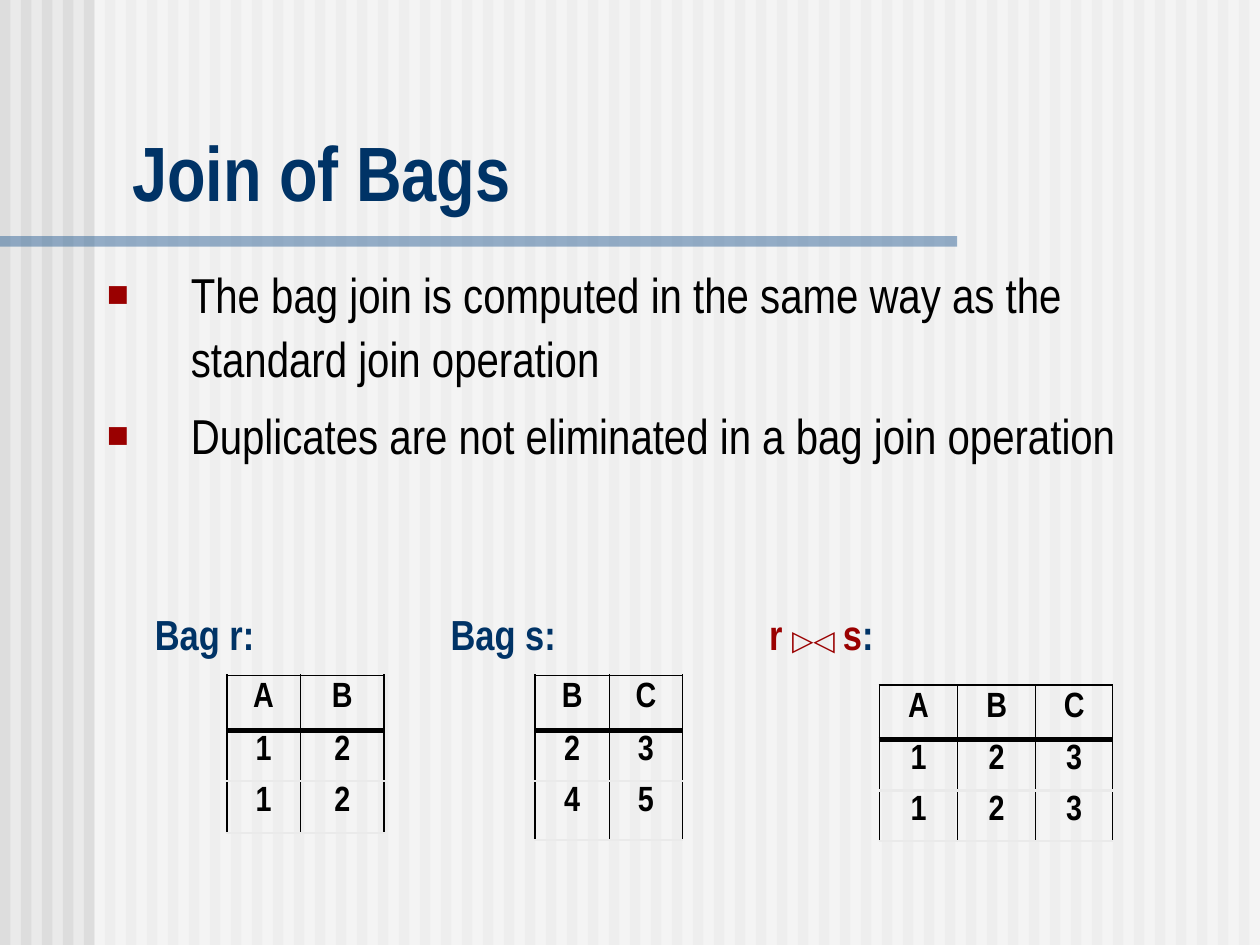
"""Build the slide that explains the join of bags."""
import dataclasses
import typing

import lxml.etree
import pptx
import pptx.dml.color
import pptx.enum.shapes
import pptx.enum.text
import pptx.oxml.ns
import pptx.util

Pt = pptx.util.Pt
Align = pptx.enum.text.PP_ALIGN
Anchor = pptx.enum.text.MSO_ANCHOR
AutoSize = pptx.enum.text.MSO_AUTO_SIZE
qn = pptx.oxml.ns.qn


@dataclasses.dataclass(frozen=True)
class Theme:
    backdrop: str = "EAEAEA"
    stripe: str = "DDDDDD"
    veil: str = "FFFFFF"
    rule: str = "336699"
    heading: str = "003366"
    accent: str = "9A0000"
    ink: str = "000000"
    font: str = "Arial Narrow"
    symbol_font: str = "Arial"
    title_size: float = 44
    body_size: float = 28
    label_size: float = 24
    cell_size: float = 20
    symbol_size: float = 16
    thin: float = 0.45
    outer: float = 1.08
    row_line: float = 1.47
    header_line: float = 3


THEME = Theme()


class Box(typing.NamedTuple):
    left: float
    top: float
    width: float
    height: float

    def lengths(self) -> list[pptx.util.Length]:
        return [Pt(value) for value in self]


class Span(typing.NamedTuple):
    text: str
    size: float
    color: str
    bold: bool = True
    font: str = THEME.font


class Label(typing.NamedTuple):
    box: Box
    spans: list[Span]


class Relation(typing.NamedTuple):
    left: float
    top: float
    widths: list[float]
    heights: list[float]
    rows: list[str]


TITLE = Span("Join of Bags", THEME.title_size, THEME.heading)
POINTS = [
    "The bag join is computed in the same way as the standard join operation",
    "Duplicates are not eliminated in a bag join operation",
]
LABELS = [
    Label(Box(80.4, 344, 73, 36), [Span("Bag r:", THEME.label_size, THEME.heading)]),
    Label(Box(249.1, 344, 77, 36), [Span("Bag s:", THEME.label_size, THEME.heading)]),
    Label(Box(428.8, 344, 81, 36), [
        Span("r ", THEME.label_size, THEME.accent),
        Span("▷◁", THEME.symbol_size, THEME.accent, font=THEME.symbol_font),
        Span(" ", THEME.cell_size, THEME.accent),
        Span("s", THEME.label_size, THEME.accent),
        Span(":", THEME.label_size, THEME.heading),
    ]),
]
RELATIONS = [
    Relation(129.6, 385.9, [42, 48], [31.5, 29, 29.5], ["AB", "12", "12"]),
    Relation(305.8, 385.9, [42.3, 42], [31.5, 29, 33.5], ["BC", "23", "45"]),
    Relation(502.6, 391.5, [44.6, 44.6, 44], [31, 29, 28.8], ["ABC", "123", "123"]),
]


def rgb(color: str) -> pptx.dml.color.RGBColor:
    return pptx.dml.color.RGBColor.from_string(color)


def add_span(paragraph, span: Span) -> None:
    run = paragraph.add_run()
    run.text = span.text
    run.font.name = span.font
    run.font.size = Pt(span.size)
    run.font.bold = span.bold
    run.font.color.rgb = rgb(span.color)


def add_band(slide, box: Box, color: str, opacity: int = 100) -> None:
    band = slide.shapes.add_shape(pptx.enum.shapes.MSO_SHAPE.RECTANGLE, *box.lengths())
    band.shadow.inherit = False
    band.line.fill.background()
    band.fill.solid()
    band.fill.fore_color.rgb = rgb(color)
    if opacity < 100:
        tint = band._element.spPr.find(qn("a:solidFill")).find(qn("a:srgbClr"))
        lxml.etree.SubElement(tint, qn("a:alpha"), val=str(opacity * 1000))


def add_frame(slide, box: Box, wrap: bool, anchor: Anchor = Anchor.TOP):
    frame = slide.shapes.add_textbox(*box.lengths()).text_frame
    frame.word_wrap = wrap
    frame.auto_size = AutoSize.NONE if wrap else AutoSize.SHAPE_TO_FIT_TEXT
    frame.vertical_anchor = anchor
    return frame


def add_bullet(paragraph) -> None:
    properties = paragraph._p.get_or_add_pPr()
    properties.set("marL", str(Pt(48)))
    properties.set("indent", str(Pt(-48)))
    color = lxml.etree.SubElement(properties, qn("a:buClr"))
    lxml.etree.SubElement(color, qn("a:srgbClr"), val=THEME.accent)
    lxml.etree.SubElement(properties, qn("a:buSzPct"), val="75000")
    lxml.etree.SubElement(properties, qn("a:buFont"), typeface=THEME.symbol_font)
    lxml.etree.SubElement(properties, qn("a:buChar"), char="■")


def add_points(slide, box: Box, points: list[str]) -> None:
    frame = add_frame(slide, box, wrap=True)
    for index, point in enumerate(points):
        paragraph = frame.add_paragraph() if index else frame.paragraphs[0]
        add_bullet(paragraph)
        paragraph.line_spacing = 1.1
        if index:
            paragraph.space_before = Pt(7)
        add_span(paragraph, Span(point, THEME.body_size, THEME.ink, bold=False))


def set_borders(cell, borders: dict[str, tuple[str, float]]) -> None:
    properties = cell._tc.get_or_add_tcPr()
    for position, (side, (color, width)) in enumerate(borders.items()):
        line = lxml.etree.Element(qn(f"a:ln{side}"), w=str(Pt(width)))
        fill = lxml.etree.SubElement(line, qn("a:solidFill"))
        lxml.etree.SubElement(fill, qn("a:srgbClr"), val=color)
        properties.insert(position, line)


def add_relation(slide, relation: Relation) -> None:
    columns = len(relation.widths)
    box = Box(relation.left, relation.top, sum(relation.widths), sum(relation.heights))
    table = slide.shapes.add_table(len(relation.rows), columns, *box.lengths()).table
    table.first_row = table.horz_banding = False
    for column, width in zip(table.columns, relation.widths):
        column.width = Pt(width)
    outer, inner = (THEME.ink, THEME.outer), (THEME.ink, THEME.thin)
    header, divider = (THEME.ink, THEME.header_line), (THEME.backdrop, THEME.row_line)
    levels = [outer, header] + [divider] * (len(relation.rows) - 1)
    for row, values in enumerate(relation.rows):
        table.rows[row].height = Pt(relation.heights[row])
        for column, value in enumerate(values):
            cell = table.cell(row, column)
            cell.fill.background()
            paragraph = cell.text_frame.paragraphs[0]
            paragraph.alignment = Align.CENTER
            paragraph.line_spacing = 0.9 if row else 1.0
            add_span(paragraph, Span(value, THEME.cell_size, THEME.ink))
            set_borders(cell, {
                "L": inner if column else outer,
                "R": inner if column < columns - 1 else outer,
                "T": levels[row],
                "B": levels[row + 1],
            })


def main() -> None:
    deck = pptx.Presentation()
    deck.slide_width, deck.slide_height = Pt(720), Pt(540)
    slide = deck.slides.add_slide(deck.slide_layouts[6])
    slide.background.fill.solid()
    slide.background.fill.fore_color.rgb = rgb(THEME.backdrop)
    for left in range(0, 720, 12):
        add_band(slide, Box(left, 0, 6, 540), THEME.stripe)
    add_band(slide, Box(54, 0, 666, 540), THEME.veil, opacity=50)
    add_band(slide, Box(0, 135, 547, 6), THEME.rule, opacity=50)
    title_frame = add_frame(slide, Box(68.4, 67.5, 643, 60), True, Anchor.BOTTOM)
    add_span(title_frame.paragraphs[0], TITLE)
    add_points(slide, Box(54, 144, 630, 174), POINTS)
    for label in LABELS:
        caption = add_frame(slide, label.box, wrap=False).paragraphs[0]
        caption.alignment = Align.CENTER
        for span in label.spans:
            add_span(caption, span)
    for relation in RELATIONS:
        add_relation(slide, relation)
    deck.save("out.pptx")


if __name__ == "__main__":
    main()
